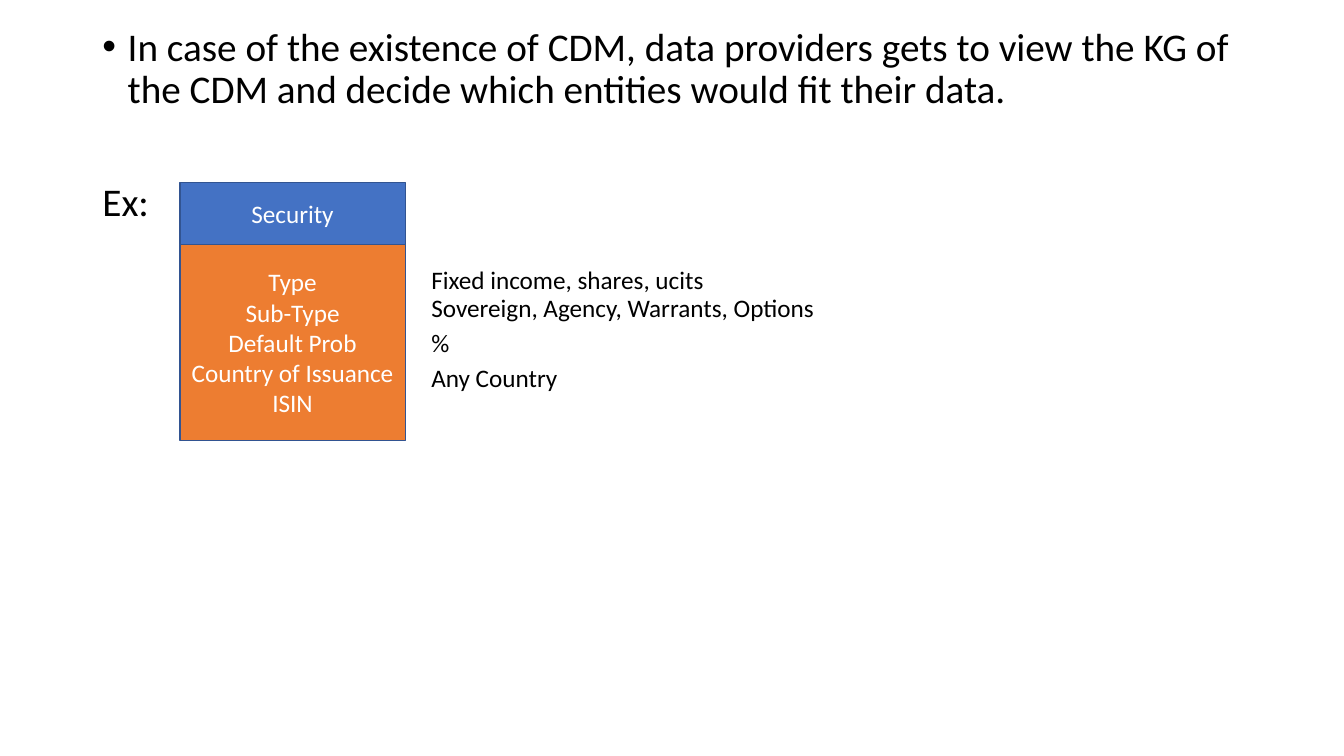
from lxml import etree
from pptx import Presentation
from pptx.dml.color import RGBColor
from pptx.enum.shapes import MSO_SHAPE
from pptx.enum.text import MSO_ANCHOR, MSO_AUTO_SIZE, PP_ALIGN
from pptx.oxml.ns import qn
from pptx.util import Pt

RECT = MSO_SHAPE.RECTANGLE
TOP, MIDDLE = MSO_ANCHOR.TOP, MSO_ANCHOR.MIDDLE
FIXED, GROW = MSO_AUTO_SIZE.NONE, MSO_AUTO_SIZE.SHAPE_TO_FIT_TEXT
LEFT, CENTER = PP_ALIGN.LEFT, PP_ALIGN.CENTER

BLACK = RGBColor(0x00, 0x00, 0x00)
WHITE = RGBColor(0xFF, 0xFF, 0xFF)
BLUE = RGBColor(0x44, 0x72, 0xC4)
ORANGE = RGBColor(0xED, 0x7D, 0x31)
EDGE = RGBColor(0x32, 0x54, 0x91)


class Page:
    """Style and drawing methods for one slide."""
    font, large, small = "Calibri", 28, 18

    def __init__(self, deck):
        self.slide = deck.slides.add_slide(deck.slide_layouts[1])
        title = self.slide.shapes.title
        title.element.getparent().remove(title.element)

    def fill_text(self, frame, lines, size, color, align=LEFT):
        for i, line in enumerate(lines):
            para = frame.add_paragraph() if i else frame.paragraphs[0]
            para.alignment = align
            run = para.add_run()
            run.text = line
            run.font.name = self.font
            run.font.size = Pt(size)
            run.font.color.rgb = color

    def body(self, x, y, w, h, items):
        """Fill the body with (text, bullet, space before) items."""
        box = self.slide.placeholders[1]
        box.left, box.top, box.width, box.height = map(Pt, (x, y, w, h))
        frame = box.text_frame
        frame.word_wrap = True
        frame.auto_size = FIXED
        frame.vertical_anchor = TOP
        self.fill_text(frame, [item[0] for item in items], self.large, BLACK)
        for para, (_, mark, gap) in zip(frame.paragraphs, items):
            para.line_spacing = 0.9
            para.space_before = Pt(gap)
            props = para._p.get_or_add_pPr()
            props.set("marL", str(Pt(18) if mark else 0))
            props.set("indent", str(Pt(-18) if mark else 0))
            if mark:
                etree.SubElement(props, qn("a:buFont"), typeface="Arial")
                etree.SubElement(props, qn("a:buChar"), char=mark)
            else:
                etree.SubElement(props, qn("a:buNone"))

    def box(self, x, y, w, h, fill, lines):
        shape = self.slide.shapes.add_shape(RECT, *map(Pt, (x, y, w, h)))
        shape.shadow.inherit = False
        shape.fill.solid()
        shape.fill.fore_color.rgb = fill
        shape.line.color.rgb = EDGE
        shape.line.width = Pt(1)
        frame = shape.text_frame
        frame.word_wrap = True
        frame.vertical_anchor = MIDDLE
        self.fill_text(frame, lines, self.small, WHITE, CENTER)

    def label(self, x, y, w, text):
        area = self.slide.shapes.add_textbox(*map(Pt, (x, y, w, 29)))
        frame = area.text_frame
        frame.word_wrap = True
        frame.auto_size = GROW
        self.fill_text(frame, [text], self.small, BLACK)


def main():
    deck = Presentation()
    deck.slide_width, deck.slide_height = Pt(960), Pt(540)
    page = Page(deck)

    # Main statement and example lead-in
    page.body(66, 16, 828, 471, [
        ("In case of the existence of CDM, data providers gets to view "
         "the KG of the CDM and decide which entities would fit their data.",
         "•", 10),
        ("Ex:", None, 50),
    ])

    # Entity card: name above its fields
    left, top, wide, head = 128.5, 130.5, 161, 44
    page.box(left, top, wide, head, BLUE, ["Security"])
    page.box(left, top + head, wide, 140, ORANGE, [
        "Type", "Sub-Type", "Default Prob", "Country of Issuance", "ISIN"])

    # Sample values beside the fields
    for y, w, text in (
        (185, 261, "Fixed income, shares, ucits"),
        (205, 320, "Sovereign, Agency, Warrants, Options"),
        (230, 261, "%"),
        (255, 261, "Any Country"),
    ):
        page.label(301, y, w, text)

    deck.save("out.pptx")


if __name__ == "__main__":
    main()
